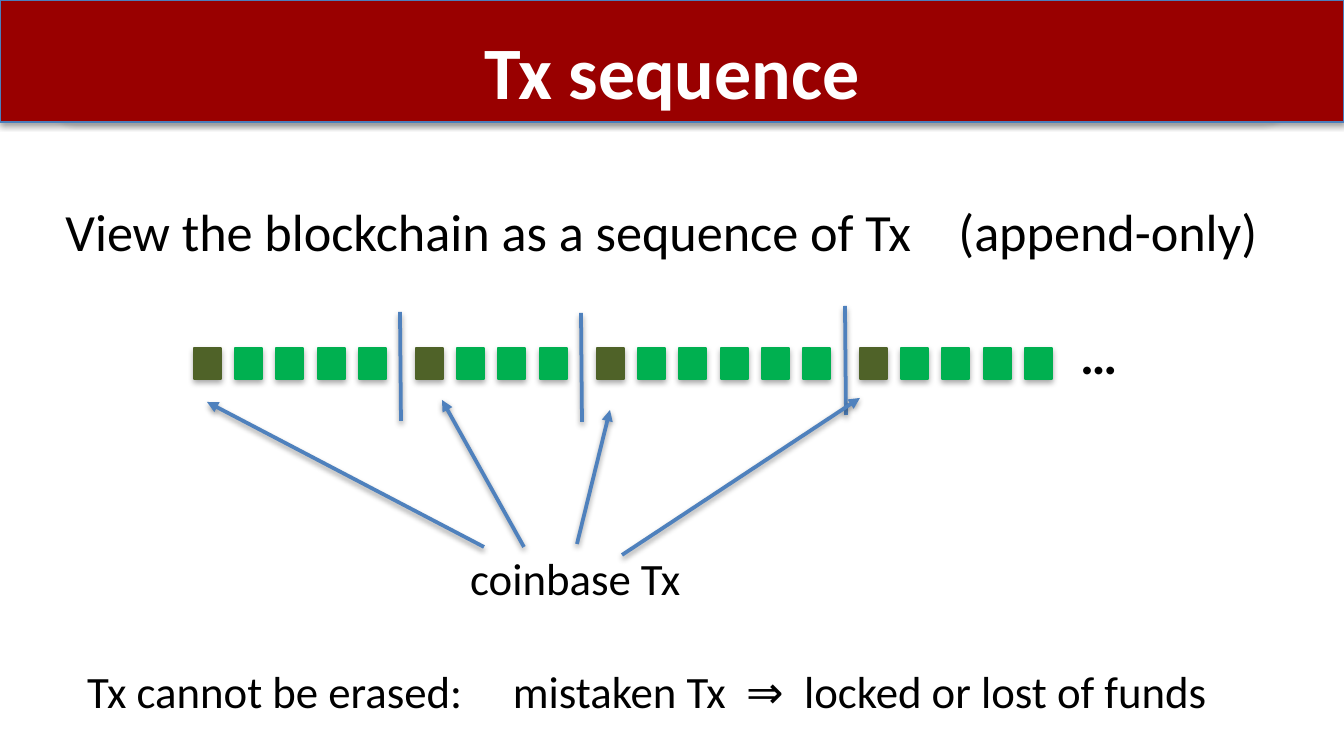
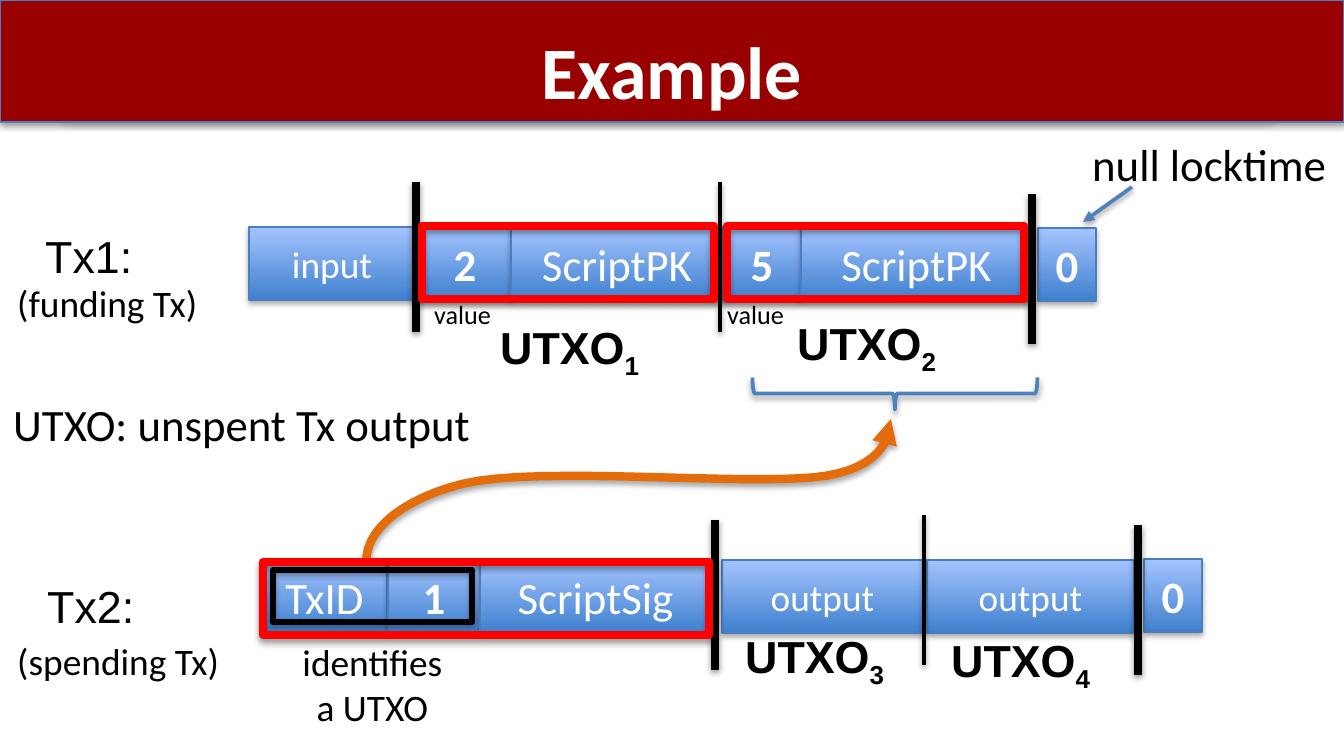
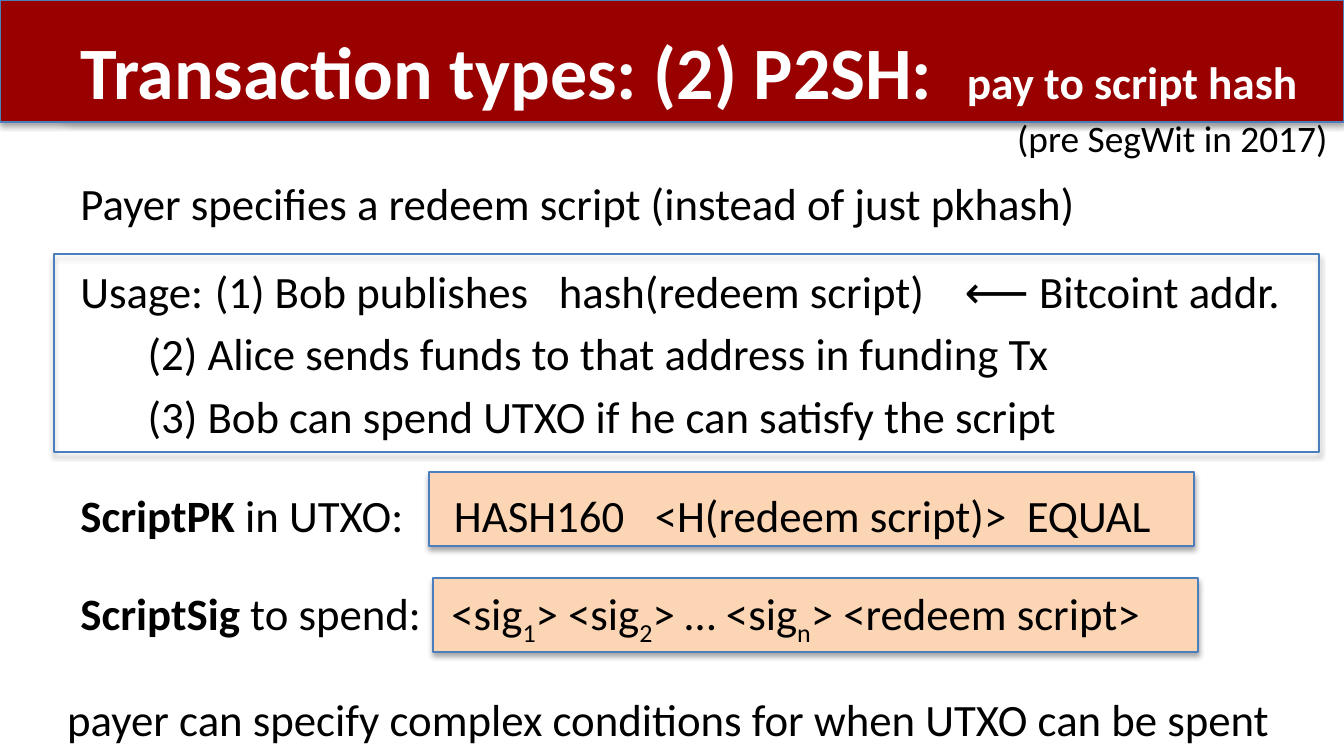
from lxml import etree
from pptx import Presentation
from pptx import util as u
from pptx.dml import color
from pptx.enum import shapes, text
from pptx.oxml import ns

SCALE = 914400 / 134.4
WHITE, BLACK, RED = "FFFFFF", "000000", "FF0000"
MAROON, EDGE, BLUE = "990000", "4B7EBC", "4F81BD"
GREEN, OLIVE, PEACH, ORANGE = "00B050", "4F6228", "FCD5B5", "E46C0A"
GRAD = ("3F80CE", "A4C4FF")
RECT = shapes.MSO_SHAPE.RECTANGLE
LEFT, MID = text.PP_ALIGN.LEFT, text.PP_ALIGN.CENTER


def px(*nums):
    return [u.Emu(round(n * SCALE)) for n in nums]


def rgb(code):
    return color.RGBColor.from_string(code)


def sub(node, tag, **attrs):
    return etree.SubElement(node, ns.qn(tag), attrs)


def shade(item, alpha="35000", dist="23000"):
    """Give an item its soft shadow, once its fill and line are set."""
    fx = sub(item._element.spPr, "a:effectLst")
    cast = sub(fx, "a:outerShdw", blurRad="40000", dist=dist,
               dir="5400000", rotWithShape="0")
    tone = sub(cast, "a:srgbClr", val=BLACK)
    sub(tone, "a:alpha", val=alpha)


def stroke(item, hue, width, head=False):
    item.line.color.rgb = rgb(hue)
    item.line.width = u.Pt(width)
    if head:
        sub(item.line._get_or_add_ln(), "a:tailEnd", type="triangle")


def write(par, parts, size, hue=BLACK, font="Calibri", bold=False,
          align=LEFT, tabs=()):
    """Fill a paragraph.

    A part led by * is bold, by _ a subscript; a number n is one space
    tracked out to the width of n.
    """
    props = par._p.get_or_add_pPr()
    props.set("marL", "0")
    props.set("indent", "0")
    sub(props, "a:buNone")
    if tabs:
        stops = sub(props, "a:tabLst")
        for pos in px(*tabs):
            sub(stops, "a:tab", pos=str(pos), algn="l")
    par.alignment = align
    for part in parts:
        if part == "\v":
            par.add_line_break()
            continue
        run = par.add_run()
        gap = isinstance(part, int)
        word = " " if gap else part
        run.text = word.lstrip("*_")
        run.font.name, run.font.size = font, u.Pt(size)
        run.font.bold = bold or word.startswith("*")
        run.font.color.rgb = rgb(hue)
        props = run._r.get_or_add_rPr()
        if gap:
            props.set("spc", str(round((part - 1) * 22.6 * size)))
        elif word.startswith("_"):
            props.set("baseline", "-25000")


def place(hold, area):
    """Move a placeholder and return its text frame, set from the top."""
    hold.left, hold.top, hold.width, hold.height = px(*area)
    frame = hold.text_frame
    frame.word_wrap = True
    frame.auto_size = text.MSO_AUTO_SIZE.NONE
    frame.vertical_anchor = text.MSO_ANCHOR.TOP
    return frame


def title(slide, parts, width=1210, align=MID):
    frame = place(slide.shapes.title, (67, 19, width, 91))
    par = frame.paragraphs[0]
    write(par, parts, 39.6, WHITE, bold=True, align=align)
    return par


def body(slide, area, lines, size):
    """Each line is (space before, tab stops, parts)."""
    frame = place(slide.placeholders[1], area)
    for n, (gap, tabs, parts) in enumerate(lines):
        par = frame.add_paragraph() if n else frame.paragraphs[0]
        write(par, parts, size, tabs=tabs)
        par.space_before = u.Pt(gap)


def label(slide, area, parts, size=24, **style):
    box = slide.shapes.add_textbox(*px(*area))
    box.text_frame.word_wrap = True
    box.text_frame.auto_size = text.MSO_AUTO_SIZE.SHAPE_TO_FIT_TEXT
    write(box.text_frame.paragraphs[0], parts, size, **style)


def block(slide, area, fill=None, hue=EDGE, width=0.75, kind=RECT):
    item = slide.shapes.add_shape(kind, *px(*area))
    if fill == GRAD:
        item.fill.gradient()
        item.fill.gradient_angle = 90
        for stop, tone in zip(item.fill.gradient_stops, GRAD):
            stop.color.rgb = rgb(tone)
    elif fill:
        item.fill.solid()
        item.fill.fore_color.rgb = rgb(fill)
    else:
        item.fill.background()
    stroke(item, hue, width)
    shade(item)
    return item


def cell(slide, x, y, width, word, size=24):
    frame = block(slide, (x, y, width, 73), GRAD).text_frame
    frame.vertical_anchor = text.MSO_ANCHOR.MIDDLE
    write(frame.paragraphs[0], [word], size, WHITE, align=MID)


def line(slide, ends, hue=BLUE, width=2, head=False):
    item = slide.shapes.add_connector(shapes.MSO_CONNECTOR.STRAIGHT, *px(*ends))
    stroke(item, hue, width, head)
    shade(item, "38000", "20000")


def curve(slide, start, bends, steps=16):
    """Draw an arrow along cubic bends, each two controls and an end."""
    dots, a = [], start
    for b, c, d in bends:
        for n in range(1, steps + 1):
            t = n / steps
            s = 1 - t
            dots.append(px(*(s**3 * i + 3 * s * s * t * j + 3 * s * t * t * k
                             + t**3 * m for i, j, k, m in zip(a, b, c, d))))
        a = d
    pen = slide.shapes.build_freeform(*px(*start))
    pen.add_line_segments(dots, close=False)
    item = pen.convert_to_shape()
    item.fill.background()
    stroke(item, ORANGE, 4.5, head=True)
    shade(item)


def band(deck, slide):
    """Build the title band and hand it to the master."""
    tree = deck.slide_master.shapes._spTree
    round_ = shapes.MSO_SHAPE.ROUNDED_RECTANGLE
    back = block(slide, (54, 0, 1227, 120), hue="7D60A0", kind=round_)
    bar = block(slide, (0, 0, 1344, 122), MAROON)
    for n, item in enumerate((back, bar)):
        item._element.nvSpPr.cNvPr.set("id", str(20 + n))
        tree.insert(2 + n, item._element)


def chain(slide):
    title(slide, ["Tx sequence"])
    body(slide, (52, 192, 1259, 91), [
        (0, [], ["View the blockchain as a sequence of Tx", 4,
                 "(append-only)"]),
    ], 28)
    for start, count in ((194, 5), (416, 4), (597, 6), (860, 5)):
        for n in range(count):
            hue = GREEN if n else OLIVE
            block(slide, (start + 124 * n // 3, 348, 27, 31), hue, hue)
    for x, y in ((400, 312), (581, 313), (845, 306)):
        line(slide, (x, y, x + 1, y + 109))
    label(slide, (1067, 316, 65, 77), ["*…"], 28)
    label(slide, (457, 544, 240, 67), ["coinbase Tx"])
    for ends in ((484, 547, 207, 402), (524, 547, 442, 400),
                 (577, 544, 610, 410), (622, 555, 860, 398)):
        line(slide, ends, head=True)
    label(slide, (74, 657, 1157, 67),
          ["Tx cannot be erased:", 5, "mistaken Tx", 2, "⇒", 2,
           "locked or lost of funds"])


def utxos(slide):
    title(slide, ["Example"])
    for x, width, word in ((419, 92, "*2"), (511, 212, "ScriptPK"),
                           (723, 78, "*5"), (801, 231, "ScriptPK")):
        cell(slide, x, 227, width, word)
    cell(slide, 249, 227, 166, "input", 20)
    cell(slide, 1038, 228, 58, "*0")
    curve(slide, (375, 586), (
        ((348, 547), (387, 503), (462, 484)),
        ((538, 465), (753, 487), (825, 476)),
        ((896, 465), (891, 419), (891, 419))))
    brace = block(slide, (879, 251, 32, 285), hue=BLUE, width=2,
                  kind=shapes.MSO_SHAPE.LEFT_BRACE)
    brace.rotation = 270
    for x, width, word in ((262, 125, "TxID"), (388, 92, "*1"),
                           (480, 231, "ScriptSig")):
        cell(slide, x, 560, width, word)
    cell(slide, 722, 560, 201, "output", 20)
    cell(slide, 927, 560, 207, "output", 20)
    cell(slide, 1144, 559, 58, "*0")
    for x, y, width in ((416, 182, 4.5), (720, 182, 2), (1032, 194, 4.5),
                        (715, 520, 4.5), (924, 515, 2), (1138, 525, 4.5)):
        line(slide, (x, y, x, y + 150), BLACK, width)
    spots = ((487, 313), (784, 309), (732, 622), (938, 626))
    for n, (x, y) in enumerate(spots, 1):
        label(slide, (x, y, 169, 67), ["UTXO", f"_{n}"], font="Arial", bold=True)
    label(slide, (32, 222, 116, 67), ["Tx1:"], font="Arial")
    label(slide, (34, 572, 116, 67), ["Tx2:"], font="Arial")
    label(slide, (4, 274, 209, 59), ["(funding Tx)"], 20)
    label(slide, (4, 632, 232, 59), ["(spending Tx)"], 20)
    label(slide, (0, 390, 488, 67), ["UTXO: unspent Tx output"])
    label(slide, (1079, 130, 264, 67), ["null locktime"])
    line(slide, (1132, 187, 1083, 222), head=True)
    for x in (421, 714):
        label(slide, (x, 292, 85, 46), ["value"], 14)
    label(slide, (288, 633, 169, 103), ["identifies", "\v", "a UTXO"], 20,
          align=MID)
    block(slide, (273, 570, 199, 52), hue=BLACK, width=3)
    for x, y, width in ((263, 562, 446), (422, 226, 292), (727, 226, 297)):
        block(slide, (x, y, width, 73), hue=RED, width=4.5)


def script(slide):
    for x, y in ((429, 472), (433, 578)):
        code = block(slide, (x, y, 765, 74), PEACH)
        slide.shapes._spTree.insert(2, code._element)
    par = title(slide, ["Transaction types: (2) P2SH:", 2,
                        "pay to script hash"], 1263, LEFT)
    par.runs[-1].font.size = u.Pt(24.3)
    body(slide, (67, 169, 1251, 516), [
        (0, [], ["Payer specifies a redeem script (instead of just pkhash)"]),
        (18.2, [136], ["Usage:\t(1) Bob publishes", 3, "hash(redeem script)",
                       4, "⟵ Bitcoint addr."]),
        (4.8, [68], ["\t(2) Alice sends funds to that address in funding Tx"]),
        (4.8, [68], ["\t(3) Bob can spend UTXO if he can satisfy the script"]),
        (24, [], ["*ScriptPK", " in UTXO:", 5, "HASH160", 3,
                  "<H(redeem script)>", 2, "EQUAL"]),
        (24, [], ["*ScriptSig", " to spend:", 3, "<sig", "_1", "> <sig", "_2",
                  "> … <sig", "_n", "> <redeem script>"]),
    ], 24)
    label(slide, (1004, 109, 341, 59), ["(pre SegWit in 2017)"], 20)
    label(slide, (54, 685, 1251, 67),
          ["payer can specify complex conditions for when UTXO can be spent"])
    block(slide, (54, 254, 1265, 198))


def main():
    deck = Presentation()
    deck.slide_width, deck.slide_height = px(1344, 756)
    full, bare = deck.slide_layouts[1], deck.slide_layouts[5]
    first = deck.slides.add_slide(full)
    band(deck, first)
    chain(first)
    utxos(deck.slides.add_slide(bare))
    script(deck.slides.add_slide(full))
    deck.save("out.pptx")


if __name__ == "__main__":
    main()
